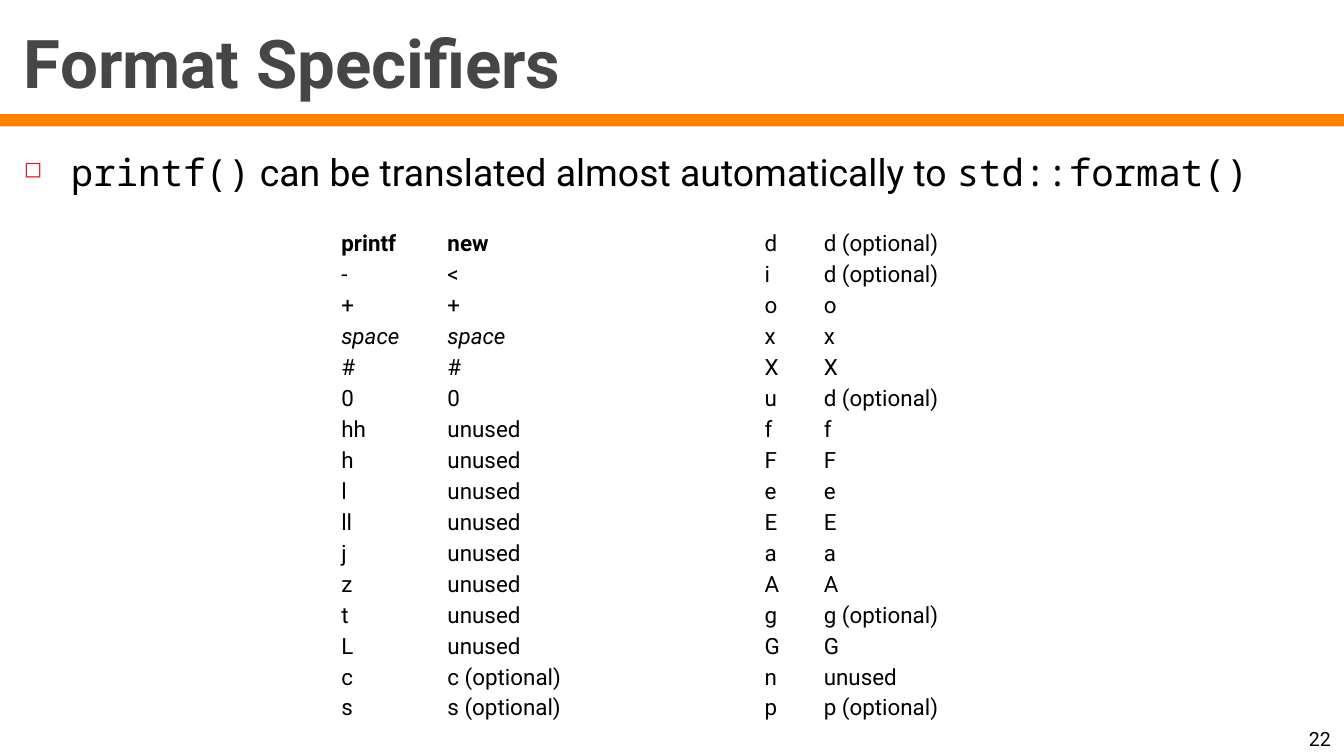
import pptx
import pptx.dml.color
import pptx.enum.shapes
import pptx.enum.text
import pptx.oxml.ns
import pptx.util
from dataclasses import dataclass
from lxml import etree

Inches = pptx.util.Inches
Pt = pptx.util.Pt
RGB = pptx.dml.color.RGBColor.from_string
Anchor = pptx.enum.text.MSO_ANCHOR
Align = pptx.enum.text.PP_ALIGN
qn = pptx.oxml.ns.qn


@dataclass(frozen=True)
class Theme:
    sans: str = "Roboto"
    mono: str = "Noto Sans Mono"
    ink: str = "000000"
    heading: str = "464646"
    bar: str = "FF8200"
    bullet: str = "DA1F28"
    title_size: float = 36
    body_size: float = 20
    table_size: float = 12
    number_size: float = 10.5


class Deck:
    def __init__(self, theme, width):
        self.theme = theme
        self.prs = pptx.Presentation()
        self.prs.slide_width = Inches(width)
        self.prs.slide_height = Inches(width * 9 / 16)
        self.s = None

    def slide(self):
        self.s = self.prs.slides.add_slide(self.prs.slide_layouts[6])

    def run(self, p, text, size, color=None, **fmt):
        r = p.add_run()
        r.text = text
        values = {"name": self.theme.sans, "size": Pt(size), **fmt}
        for key, value in values.items():
            setattr(r.font, key, value)
        r.font.color.rgb = RGB(color or self.theme.ink)

    def bar(self, *box):
        sp = self.s.shapes.add_shape(
            pptx.enum.shapes.MSO_SHAPE.RECTANGLE, *map(Inches, box))
        sp.shadow.inherit = False
        sp.fill.solid()
        sp.fill.fore_color.rgb = RGB(self.theme.bar)
        sp.line.fill.background()

    def text(self, box, runs, size, color=None, anchor=Anchor.TOP, align=Align.LEFT):
        tf = self.s.shapes.add_textbox(*map(Inches, box)).text_frame
        for key, value in {"word_wrap": True, "vertical_anchor": anchor}.items():
            setattr(tf, key, value)
        p = tf.paragraphs[0]
        p.alignment = align
        for text, fmt in runs:
            self.run(p, text, size, color, **fmt)
        return p

    def bullet(self, box, runs, size):
        p = self.text(box, runs, size)
        p.space_before = Pt(7)
        pPr = p._p.get_or_add_pPr()
        pPr.set("marL", str(Inches(0.35)))
        pPr.set("indent", str(-Inches(0.35)))
        color = etree.SubElement(pPr, qn("a:buClr"))
        etree.SubElement(color, qn("a:srgbClr"), val=self.theme.bullet)
        etree.SubElement(pPr, qn("a:buSzPct"), val="60000")
        etree.SubElement(pPr, qn("a:buChar"), char="◻")

    def table(self, left, top, widths, row_height, rows, formats):
        tbl = self.s.shapes.add_table(
            len(rows), len(widths), Inches(left), Inches(top),
            Inches(sum(widths)), Inches(row_height * len(rows))).table
        tbl.first_row = tbl.horz_banding = False
        for column, width in zip(tbl.columns, widths):
            column.width = Inches(width)
        layout = {
            "margin_left": Inches(0.03), "margin_right": Inches(0.03),
            "margin_top": Pt(1.1), "margin_bottom": Pt(1.1),
            "vertical_anchor": Anchor.MIDDLE,
        }
        for i, row in enumerate(rows):
            tbl.rows[i].height = Inches(row_height)
            for j, text in enumerate(row):
                cell = tbl.cell(i, j)
                cell.fill.background()
                for key, value in layout.items():
                    setattr(cell, key, value)
                self.run(cell.text_frame.paragraphs[0], text,
                         self.theme.table_size, **formats.get(text, {}))


def optional(letter):
    return letter, f"{letter} (optional)"


def same(symbols):
    return [(symbol, symbol) for symbol in symbols]


def unused(symbols):
    return [(symbol, "unused") for symbol in symbols]


def main():
    theme = Theme()
    deck = Deck(theme, 10)
    deck.slide()
    deck.bar(0, 0.85, 10, 0.09)
    deck.text((9.37, 5.34, 0.63, 0.29), [("22", {})], theme.number_size,
              anchor=Anchor.BOTTOM, align=Align.RIGHT)
    deck.text((0.08, 0.13, 9.83, 0.68), [("Format Specifiers", {"bold": True})],
              theme.title_size, theme.heading, Anchor.BOTTOM)
    mono = {"name": theme.mono}
    deck.bullet((0.08, 1.06, 9.83, 4.5), [
        ("printf()", mono),
        (" can be translated almost automatically to ", {}),
        ("std::format()", mono),
    ], theme.body_size)

    flags = [("printf", "new"), ("-", "<"), *same(["+", "space", "#", "0"]),
             *unused(["hh", "h", "l", "ll", "j", "z", "t", "L"]),
             optional("c"), optional("s")]
    conversions = [optional("d"), ("i", "d (optional)"), *same("oxX"),
                   ("u", "d (optional)"), *same("fFeEaA"), optional("g"),
                   *same("G"), *unused("n"), optional("p")]
    formats = {"printf": {"bold": True}, "new": {"bold": True},
               "space": {"italic": True}}
    for left, widths, rows in ((2.51, (0.79, 1.08), flags),
                               (5.66, (0.44, 1.17), conversions)):
        deck.table(left, 1.7, widths, 0.23, rows, formats)
    deck.prs.save("out.pptx")


if __name__ == "__main__":
    main()
